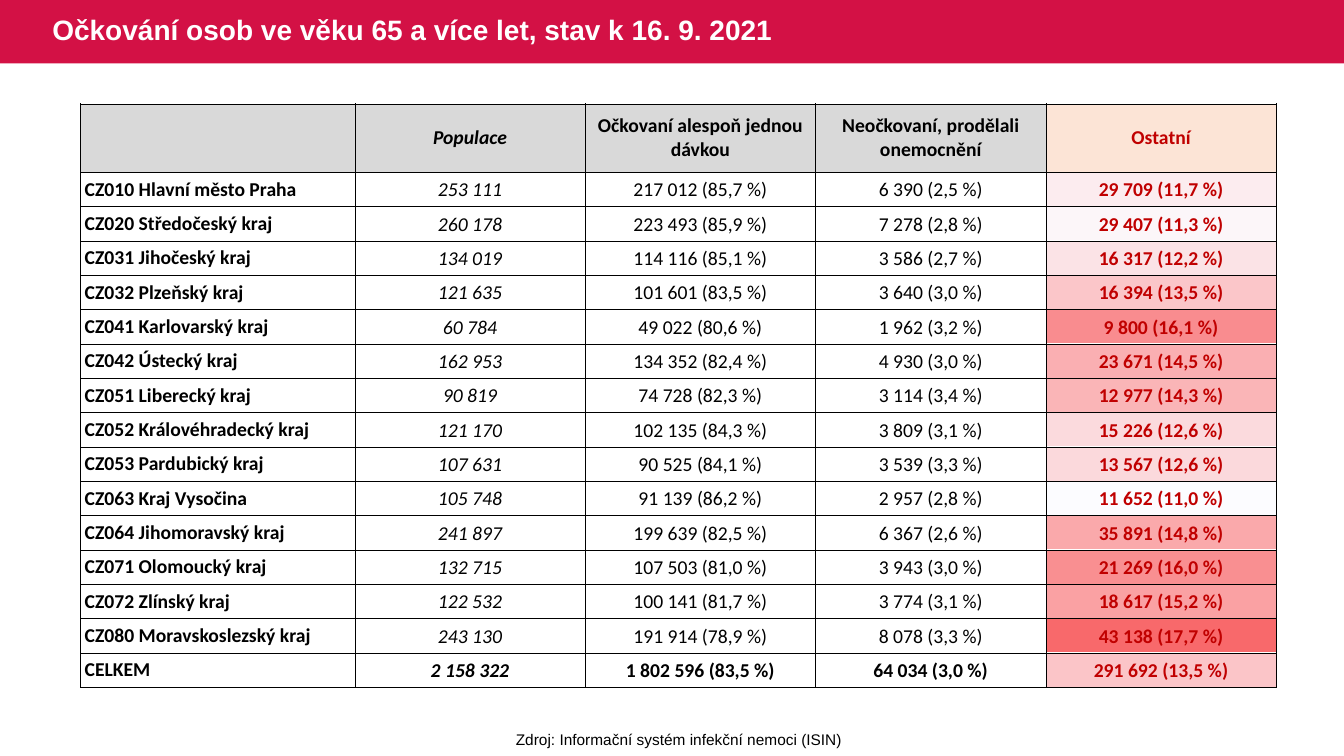
from lxml.etree import SubElement
from pptx import Presentation
from pptx.dml.color import RGBColor
from pptx.enum.shapes import MSO_SHAPE
from pptx.enum.text import MSO_ANCHOR, PP_ALIGN
from pptx.oxml.ns import qn
from pptx.util import Inches, Pt

CRIMSON = RGBColor(0xD3, 0x11, 0x45)
WHITE = RGBColor(0xFF, 0xFF, 0xFF)
BLACK = RGBColor(0, 0, 0)
RED = RGBColor(0xC0, 0, 0)
GREY = RGBColor(0xD9, 0xD9, 0xD9)
PEACH = RGBColor(0xFC, 0xE4, 0xD6)
HEAT_LOW = RGBColor(0xFC, 0xFC, 0xFF)
HEAT_HIGH = RGBColor(0xF8, 0x69, 0x6B)

HEADER = ["", "Populace", "Očkovaní alespoň jednou dávkou",
          "Neočkovaní, prodělali onemocnění", "Ostatní"]
REGIONS = [
    ["CZ010 Hlavní město Praha", "253 111", "217 012 (85,7 %)", "6 390 (2,5 %)", "29 709 (11,7 %)"],
    ["CZ020 Středočeský kraj", "260 178", "223 493 (85,9 %)", "7 278 (2,8 %)", "29 407 (11,3 %)"],
    ["CZ031 Jihočeský kraj", "134 019", "114 116 (85,1 %)", "3 586 (2,7 %)", "16 317 (12,2 %)"],
    ["CZ032 Plzeňský kraj", "121 635", "101 601 (83,5 %)", "3 640 (3,0 %)", "16 394 (13,5 %)"],
    ["CZ041 Karlovarský kraj", "60 784", "49 022 (80,6 %)", "1 962 (3,2 %)", "9 800 (16,1 %)"],
    ["CZ042 Ústecký kraj", "162 953", "134 352 (82,4 %)", "4 930 (3,0 %)", "23 671 (14,5 %)"],
    ["CZ051 Liberecký kraj", "90 819", "74 728 (82,3 %)", "3 114 (3,4 %)", "12 977 (14,3 %)"],
    ["CZ052 Královéhradecký kraj", "121 170", "102 135 (84,3 %)", "3 809 (3,1 %)", "15 226 (12,6 %)"],
    ["CZ053 Pardubický kraj", "107 631", "90 525 (84,1 %)", "3 539 (3,3 %)", "13 567 (12,6 %)"],
    ["CZ063 Kraj Vysočina", "105 748", "91 139 (86,2 %)", "2 957 (2,8 %)", "11 652 (11,0 %)"],
    ["CZ064 Jihomoravský kraj", "241 897", "199 639 (82,5 %)", "6 367 (2,6 %)", "35 891 (14,8 %)"],
    ["CZ071 Olomoucký kraj", "132 715", "107 503 (81,0 %)", "3 943 (3,0 %)", "21 269 (16,0 %)"],
    ["CZ072 Zlínský kraj", "122 532", "100 141 (81,7 %)", "3 774 (3,1 %)", "18 617 (15,2 %)"],
    ["CZ080 Moravskoslezský kraj", "243 130", "191 914 (78,9 %)", "8 078 (3,3 %)", "43 138 (17,7 %)"],
    ["CELKEM", "2 158 322", "1 802 596 (83,5 %)", "64 034 (3,0 %)", "291 692 (13,5 %)"],
]


def count(text):
    """Number before the bracket, without its thousands spaces."""
    return int(text.split("(")[0].replace(" ", ""))


def style_paragraph(p, text, size, name, color, bold=False, italic=False):
    p.text = text
    p.font.size = Pt(size)
    p.font.name = name
    p.font.color.rgb = color
    p.font.bold = bold
    p.font.italic = italic


prs = Presentation()
prs.slide_width, prs.slide_height = Inches(13.33), Inches(7.5)
s = prs.slides.add_slide(prs.slide_layouts[6])

# Title band
band_height = Inches(0.63)
band = s.shapes.add_shape(MSO_SHAPE.RECTANGLE, 0, 0, prs.slide_width, band_height)
band.shadow.inherit = False
band.fill.solid()
band.fill.fore_color.rgb = CRIMSON
band.line.fill.background()

# Heat column behind the last table column, shaded by share of the population
table_left, table_top = Inches(0.8), Inches(1.03)
name_width, value_width = Inches(2.72), Inches(2.285)
header_height, row_height = Inches(0.68), Inches(5.11 / len(REGIONS))

shares = [count(row[4]) / count(row[1]) for row in REGIONS]
low, high = min(shares), max(shares)
heat_table = s.shapes.add_table(
    len(REGIONS), 1, table_left + name_width + 3 * value_width, table_top + header_height,
    value_width, row_height * len(REGIONS)).table
heat_table.first_row = heat_table.horz_banding = False
for r, share in enumerate(shares):
    cell = heat_table.cell(r, 0)
    cell.margin_top = cell.margin_bottom = 0
    cell.text_frame.paragraphs[0].font.size = Pt(14)
    heat = (share - low) / (high - low)
    cell.fill.solid()
    cell.fill.fore_color.rgb = RGBColor(
        *(round(a + (b - a) * heat) for a, b in zip(HEAT_LOW, HEAT_HIGH)))

title = s.shapes.add_textbox(Inches(0.42), 0, Inches(8.28), band_height)
tf = title.text_frame
tf.word_wrap = True
tf.vertical_anchor = MSO_ANCHOR.MIDDLE
style_paragraph(tf.paragraphs[0], "Očkování osob ve věku 65 a více let, stav k 16. 9. 2021",
                20, "Arial", WHITE, bold=True)
tf.paragraphs[0].line_spacing = 0.9

# Table of regions
rows = [HEADER] + REGIONS
table = s.shapes.add_table(
    len(rows), len(HEADER), table_left, table_top,
    name_width + 4 * value_width, header_height + row_height * len(REGIONS)).table
table.first_row = table.horz_banding = False
for c, column in enumerate(table.columns):
    column.width = name_width if c == 0 else value_width
for r, row in enumerate(table.rows):
    row.height = header_height if r == 0 else row_height

for r, values in enumerate(rows):
    is_header, is_total = r == 0, r == len(REGIONS)
    for c, text in enumerate(values):
        is_name, is_other = c == 0, c == 4
        cell = table.cell(r, c)
        cell.vertical_anchor = MSO_ANCHOR.MIDDLE
        wide = is_header or is_name
        cell.margin_left = cell.margin_right = Inches(0.04 if wide else 0.01)
        cell.margin_top = Inches(0 if wide else 0.01)
        cell.margin_bottom = 0

        p = cell.text_frame.paragraphs[0]
        style_paragraph(p, text, 14, "Calibri", RED if is_other else BLACK,
                        bold=is_header or is_total or is_name or is_other,
                        italic=c == 1)
        p.alignment = PP_ALIGN.LEFT if is_name else PP_ALIGN.CENTER

        tc_pr = cell._tc.get_or_add_tcPr()
        for side in ("a:lnL", "a:lnR", "a:lnT", "a:lnB"):
            border = SubElement(tc_pr, qn(side), w=str(Pt(0.5)))
            SubElement(SubElement(border, qn("a:solidFill")), qn("a:srgbClr"), val=str(BLACK))

        if is_header:
            cell.fill.solid()
            cell.fill.fore_color.rgb = PEACH if is_other else GREY
        else:
            cell.fill.background()

# Source line
source = s.shapes.add_textbox(Inches(5.01), Inches(7.19), Inches(3.45), Inches(0.29))
source.text_frame.word_wrap = False
p = source.text_frame.paragraphs[0]
style_paragraph(p, "Zdroj: Informační systém infekční nemoci (ISIN)", 11, "Arial", BLACK)
p.alignment = PP_ALIGN.CENTER

prs.save("out.pptx")
